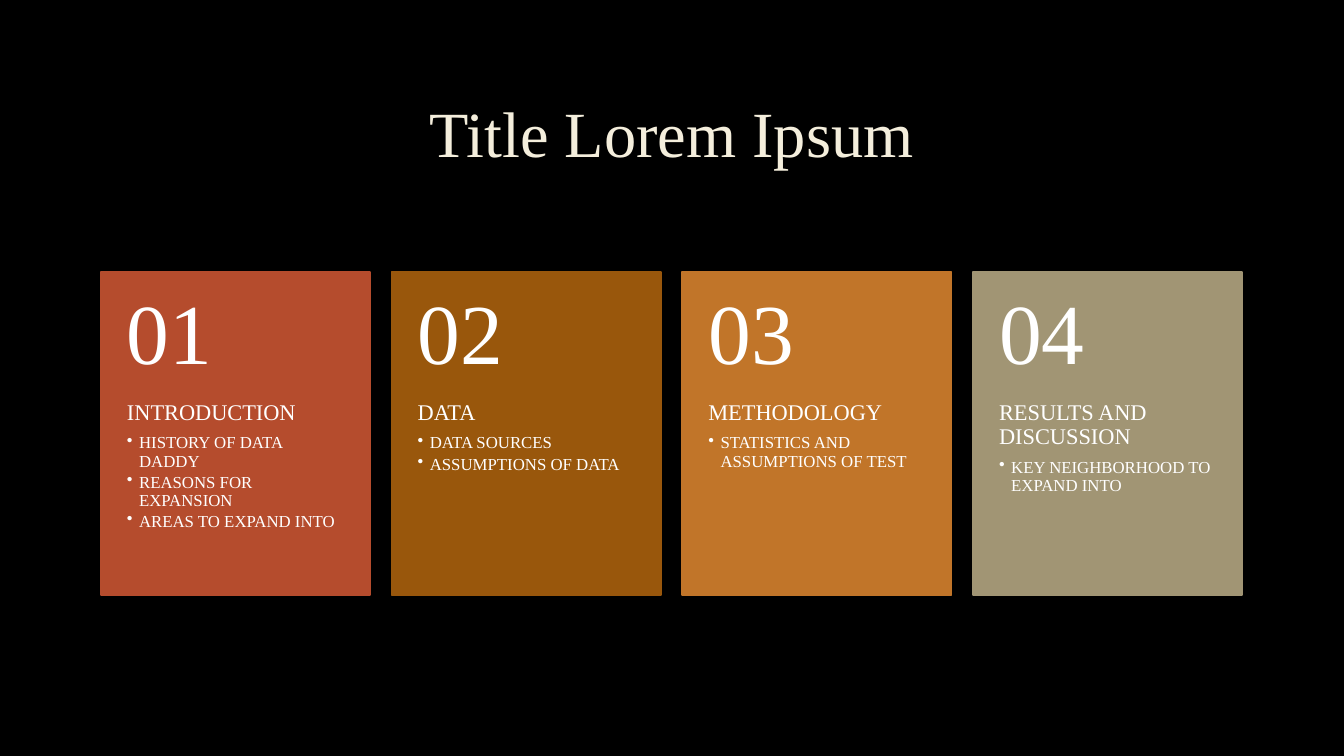
import pptx
import pptx.dml.color
import pptx.enum.shapes
import pptx.enum.text
import pptx.oxml.ns
import pptx.util
from lxml import etree

Inches = pptx.util.Inches
Pt = pptx.util.Pt
ALIGN = pptx.enum.text.PP_ALIGN
ANCHOR = pptx.enum.text.MSO_ANCHOR

# Content
TITLE = "Title Lorem Ipsum"
CARDS = [
    ("INTRODUCTION", "B54C2D",
     ["HISTORY OF DATA DADDY", "REASONS FOR EXPANSION", "AREAS TO EXPAND INTO"]),
    ("DATA", "99570C", ["DATA SOURCES", "ASSUMPTIONS OF DATA"]),
    ("METHODOLOGY", "C17529", ["STATISTICS AND ASSUMPTIONS OF TEST"]),
    ("RESULTS AND DISCUSSION", "A19574", ["KEY NEIGHBORHOOD TO EXPAND INTO"]),
]


class Theme:
    font = "Times New Roman"
    background = "000000"
    title_color = "F4EEDC"
    card_text = "FFFFFF"
    title_size = 46
    number_size = 61
    heading_size = 16
    bullet_size = 12
    heading_gap = 6.5
    bullet_gap = 2.1
    card_line = 1.25


# Card layout, in inches
LEFT, TOP, ROW_WIDTH = 1, 2.7, 11.32
CARD_WIDTH, CARD_HEIGHT, NUMBER_HEIGHT = 2.67, 3.2, 1.28
STEP = (ROW_WIDTH - CARD_WIDTH) / (len(CARDS) - 1)
SIDE_INSET, NUMBER_INSET, BOTTOM_INSET = 0.26, 0.18, 0.36
BULLET_INDENT = 0.12


def rgb(color):
    return pptx.dml.color.RGBColor.from_string(color)


def add_bullet(paragraph):
    paragraph.level = 1
    properties = paragraph._p.get_or_add_pPr()
    properties.set("marL", str(Inches(BULLET_INDENT)))
    properties.set("indent", str(-Inches(BULLET_INDENT)))
    bullet = etree.SubElement(properties, pptx.oxml.ns.qn("a:buChar"))
    bullet.set("char", "•")


def add_text(shapes, box, lines, color=Theme.card_text, align=ALIGN.LEFT,
             anchor=ANCHOR.TOP, insets=(0.1, 0.05, 0.1, 0.05)):
    """Each line is (text, size, space after, bulleted)."""
    frame = shapes.add_textbox(*map(Inches, box)).text_frame
    frame.word_wrap = True
    frame.vertical_anchor = anchor
    (frame.margin_left, frame.margin_top,
     frame.margin_right, frame.margin_bottom) = map(Inches, insets)
    for index, (text, size, gap, bulleted) in enumerate(lines):
        paragraph = frame.add_paragraph() if index else frame.paragraphs[0]
        paragraph.alignment = align
        paragraph.line_spacing = 0.9
        paragraph.space_after = Pt(gap)
        if bulleted:
            add_bullet(paragraph)
        run = paragraph.add_run()
        run.text = text
        run.font.name = Theme.font
        run.font.size = Pt(size)
        run.font.color.rgb = rgb(color)


def add_card(shapes, index, heading, color, bullets):
    left = LEFT + index * STEP

    # Panel
    panel = shapes.add_shape(
        pptx.enum.shapes.MSO_SHAPE.RECTANGLE,
        *map(Inches, (left, TOP, CARD_WIDTH, CARD_HEIGHT)))
    panel.shadow.inherit = False
    panel.fill.solid()
    panel.fill.fore_color.rgb = rgb(color)
    panel.line.color.rgb = rgb(color)
    panel.line.width = Pt(Theme.card_line)

    # Heading and bullets
    lines = [(heading, Theme.heading_size, Theme.heading_gap, False)]
    lines += [(text, Theme.bullet_size, Theme.bullet_gap, True) for text in bullets]
    add_text(shapes,
             (left, TOP + NUMBER_HEIGHT, CARD_WIDTH, CARD_HEIGHT - NUMBER_HEIGHT),
             lines, insets=(SIDE_INSET, 0, SIDE_INSET, BOTTOM_INSET))

    # Number
    add_text(shapes, (left, TOP, CARD_WIDTH, NUMBER_HEIGHT),
             [(f"{index + 1:02}", Theme.number_size, 0, False)],
             anchor=ANCHOR.MIDDLE,
             insets=(SIDE_INSET, NUMBER_INSET, SIDE_INSET, NUMBER_INSET))


def main():
    presentation = pptx.Presentation()
    presentation.slide_width = Inches(13.33)
    presentation.slide_height = Inches(7.5)
    slide = presentation.slides.add_slide(presentation.slide_layouts[6])
    slide.background.fill.solid()
    slide.background.fill.fore_color.rgb = rgb(Theme.background)

    # Title
    add_text(slide.shapes, (LEFT, 0.67, ROW_WIDTH, 1.38),
             [(TITLE, Theme.title_size, 0, False)], color=Theme.title_color,
             align=ALIGN.CENTER, anchor=ANCHOR.MIDDLE)

    # Row of cards
    card_row = slide.shapes.add_group_shape()
    for index, card in enumerate(CARDS):
        add_card(card_row.shapes, index, *card)

    presentation.save("out.pptx")


if __name__ == "__main__":
    main()
